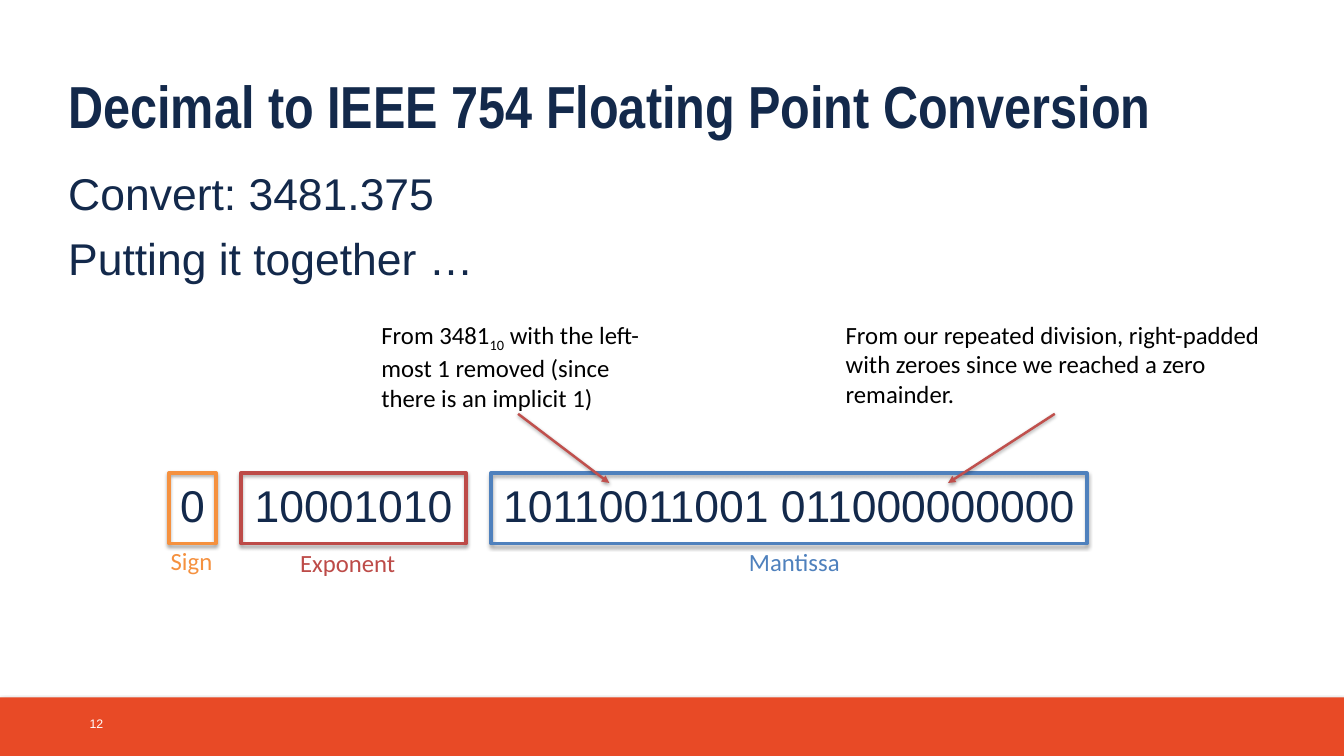
import pptx
import pptx.util
import pptx.dml.color
import pptx.enum.shapes
import pptx.enum.text
import pptx.oxml
from dataclasses import dataclass

Pt = pptx.util.Pt
ALIGN = pptx.enum.text.PP_ALIGN
ANCHOR = pptx.enum.text.MSO_ANCHOR
NS = 'xmlns:a="http://schemas.openxmlformats.org/drawingml/2006/main"'


@dataclass
class Theme:
    navy: str = "13294B"
    flame: str = "E84A26"
    white: str = "FFFFFF"
    black: str = "000000"
    gold: str = "F5913F"
    red: str = "BD4B48"
    blue: str = "4F81BD"
    arrow: str = "C0504D"
    head: str = "Arial Narrow"
    body: str = "Arial"
    note: str = "Calibri"
    title: int = 48
    large: int = 36
    small: int = 20
    tiny: int = 10


def color(code):
    return pptx.dml.color.RGBColor.from_string(code)


def write(para, text, font, size, ink, bold=False, sub=False):
    run = para.add_run()
    run.text = text
    run.font.name = font
    run.font.size = Pt(size)
    run.font.bold = bold
    run.font.color.rgb = color(ink)
    if sub:
        run._r.get_or_add_rPr().set("baseline", "-25000")


def shade(props, alpha=35, dist=1.8):
    for old in props.findall(pptx.oxml.ns.qn("a:effectLst")):
        props.remove(old)
    props.append(pptx.oxml.parse_xml(
        f'<a:effectLst {NS}><a:outerShdw blurRad="{Pt(3.1)}" dist="{Pt(dist)}" '
        f'dir="5400000" rotWithShape="0"><a:srgbClr val="000000">'
        f'<a:alpha val="{alpha * 1000}"/></a:srgbClr></a:outerShdw></a:effectLst>'))


class Page:
    def __init__(self, slide, theme):
        self.slide = slide
        self.theme = theme

    def rect(self, x, y, w, h, fill=None, line=None):
        kind = pptx.enum.shapes.MSO_SHAPE.RECTANGLE
        shape = self.slide.shapes.add_shape(kind, Pt(x), Pt(y), Pt(w), Pt(h))
        shape.shadow.inherit = False
        if fill:
            shape.fill.solid()
            shape.fill.fore_color.rgb = color(fill)
        else:
            shape.fill.background()
        if line:
            shape.line.color.rgb = color(line)
            shape.line.width = Pt(3)
        else:
            shape.line.fill.background()
        shade(shape._element.spPr)
        return shape

    def text(self, x, y, w, h, paras, font, size, ink, bold=False, wrap=True,
             align=ALIGN.LEFT, anchor=ANCHOR.TOP, lead=1.0, gap=0):
        box = self.slide.shapes.add_textbox(Pt(x), Pt(y), Pt(w), Pt(h))
        frame = box.text_frame
        frame.word_wrap = wrap
        frame.vertical_anchor = anchor
        for i, parts in enumerate(paras):
            para = frame.add_paragraph() if i else frame.paragraphs[0]
            para.alignment = align
            para.line_spacing = lead
            if i:
                para.space_before = Pt(gap)
            for j, part in enumerate(parts):
                write(para, part, font, size, ink, bold, sub=j % 2 == 1)
        return box

    def field(self, x, w, bits, name, mid, top, ink):
        t = self.theme
        self.rect(x, 383, w, 57, line=ink)
        self.text(x, 380, w, 57, [[bits]], t.body, t.large, t.navy,
                  wrap=False, align=ALIGN.CENTER, anchor=ANCHOR.MIDDLE)
        self.text(mid - 50, top, 100, 31.5, [[name]], t.note, t.small, ink,
                  wrap=False, align=ALIGN.CENTER)

    def note(self, x, w, parts, tip):
        t = self.theme
        box = self.text(x, 255, w, 80, [parts], t.note, t.small, t.black)
        kind = pptx.enum.shapes.MSO_CONNECTOR.STRAIGHT
        line = self.slide.shapes.add_connector(
            kind, Pt(x + w / 2), Pt(335), Pt(tip), Pt(391))
        line.begin_connect(box, 2)
        line.line.color.rgb = color(t.arrow)
        line.line.width = Pt(2)
        line.line._get_or_add_ln().append(
            pptx.oxml.parse_xml(f'<a:tailEnd {NS} type="triangle"/>'))
        shade(line._element.spPr, alpha=37, dist=1.6)


def main():
    deck = pptx.Presentation()
    deck.slide_width, deck.slide_height = Pt(1088), Pt(612)
    t = Theme()
    page = Page(deck.slides.add_slide(deck.slide_layouts[6]), t)

    page.rect(0, 564.5, 1088, 47.5, fill=t.flame)
    page.text(48.2, 49.7, 994, 57, [["Decimal to IEEE 754 Floating Point Conversion"]],
              t.head, t.title, t.navy, bold=True, lead=1.05)
    page.text(48.2, 128.9, 1000, 105, [["Convert: 3481.375"], ["Putting it together …"]],
              t.body, t.large, t.navy, lead=1.05, gap=7)
    page.text(65.5, 569.5, 42, 32.5, [["12"]], t.body, t.tiny, t.white,
              anchor=ANCHOR.MIDDLE)

    for item in (
        (136.8, 38.2, "0", "Sign", 155, 438.5, t.gold),
        (195.1, 182.2, "10001010", "Exponent", 281.5, 440, t.red),
        (397.4, 482.4, "10110011001 011000000000", "Mantissa", 643, 439.2, t.blue),
    ):
        page.field(*item)

    page.note(301.7, 235.4, ["From 3481", "10", " with the left-most 1 removed "
                             "(since there is an implicit 1)"], 493.2)
    page.note(677.5, 352.8, ["From our repeated division, right-padded with zeroes "
                             "since we reached a zero remainder."], 767.5)
    deck.save("out.pptx")


if __name__ == "__main__":
    main()
